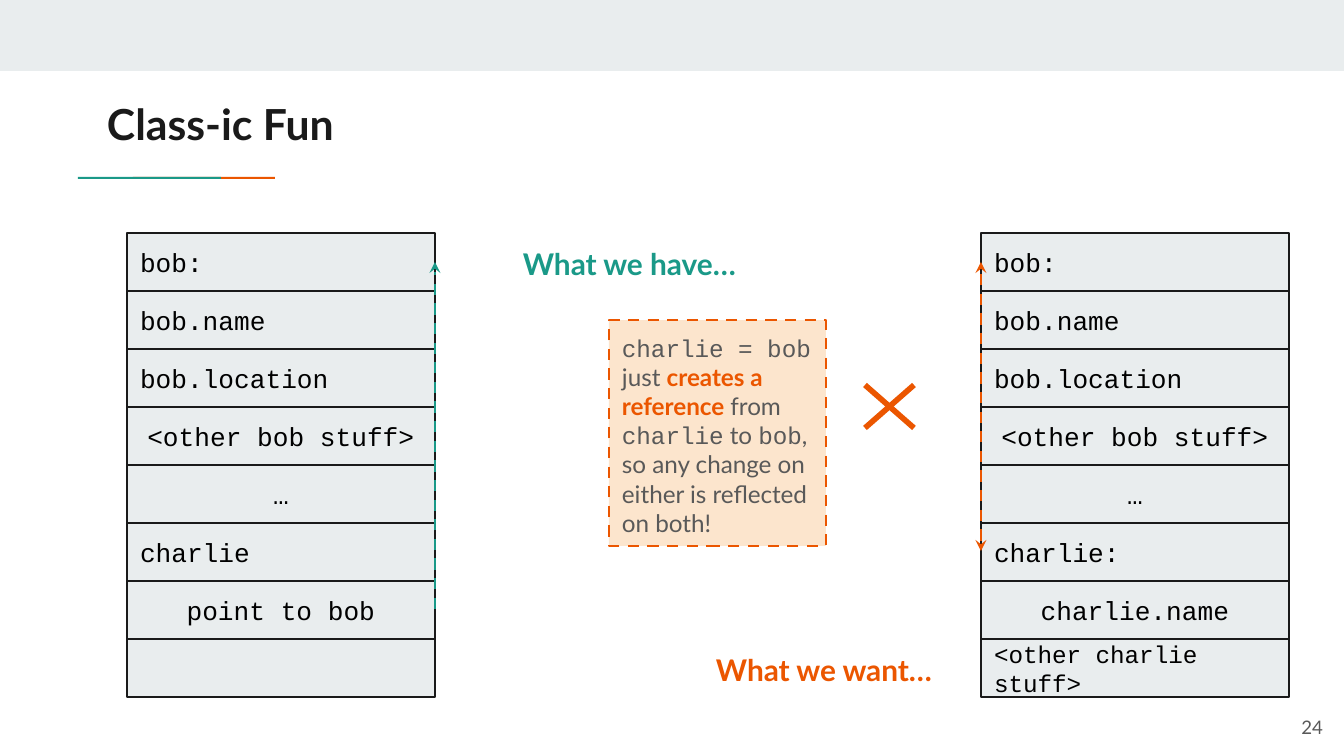
import pptx
import pptx.util
import pptx.dml.color
import pptx.enum.dml
import pptx.enum.shapes
import pptx.enum.text
import pptx.oxml.ns
from lxml import etree

RGB = pptx.dml.color.RGBColor
GREY = RGB(0xE9, 0xED, 0xEE)
DARK = RGB(0x1A, 0x1A, 0x1A)
TEXT = RGB(0x59, 0x59, 0x59)
BLACK = RGB(0, 0, 0)
TEAL = RGB(0x1A, 0x99, 0x88)
RUST = RGB(0xEB, 0x56, 0x00)
PEACH = RGB(0xFC, 0xE5, 0xCD)

PX = 914400 * 10 / 1344
Pt = pptx.util.Pt
ALIGN = pptx.enum.text.PP_ALIGN
ANCHOR = pptx.enum.text.MSO_ANCHOR
DASH = pptx.enum.dml.MSO_LINE.DASH
RECT = pptx.enum.shapes.MSO_SHAPE.RECTANGLE
STRAIGHT = pptx.enum.shapes.MSO_CONNECTOR.STRAIGHT
MONO, SANS = "Courier New", "Lato"
qn = pptx.oxml.ns.qn

deck = pptx.Presentation()
deck.slide_width = round(1344 * PX)
deck.slide_height = round(756 * PX)
slide = deck.slides.add_slide(deck.slide_layouts[5])
shapes = slide.shapes


def box(x, y, w, h, fill=None, edge=None, width=0.75):
    """Add a rectangle, or a text box when it has no fill."""
    area = [round(n * PX) for n in (x, y, w, h)]
    if fill is None:
        item = shapes.add_textbox(*area)
    else:
        item = shapes.add_shape(RECT, *area)
        item.shadow.inherit = False
        item.fill.solid()
        item.fill.fore_color.rgb = fill
        if edge is None:
            item.line.fill.background()
        else:
            item.line.color.rgb = edge
            item.line.width = Pt(width)
    frame = item.text_frame
    frame.word_wrap = True
    frame.margin_left = frame.margin_right = round(13 * PX)
    frame.margin_top = frame.margin_bottom = round(13 * PX)
    return item


def write(frame, parts, size, align=ALIGN.LEFT, anchor=ANCHOR.TOP):
    """Fill a frame with (text, font, colour, bold) runs."""
    frame.vertical_anchor = anchor
    para = frame.paragraphs[0]
    para.alignment = align
    for text, name, tint, bold in parts:
        run = para.add_run()
        run.text = text
        run.font.name = name
        run.font.size = Pt(size)
        run.font.color.rgb = tint
        run.font.bold = bold


# Top band and two-colour rule
box(0, 0, 1344, 71, GREY)
box(133, 177, 142, 2, RUST)
box(78, 177, 143, 2, TEAL)

# Title
title = shapes.title
title.left, title.top = round(107 * PX), round(85 * PX)
title.width, title.height = round(1130 * PX), round(79 * PX)
frame = title.text_frame
frame.auto_size = pptx.enum.text.MSO_AUTO_SIZE.NONE
frame.margin_left = frame.margin_right = 0
frame.margin_top = frame.margin_bottom = round(13 * PX)
write(frame, [("Class-ic Fun", SANS, DARK, True)], 22.9)

# Slide number
write(box(1255, 698, 81, 58).text_frame, [("24", SANS, TEXT, False)], 10,
      ALIGN.RIGHT, ANCHOR.MIDDLE)

# Memory stacks
TOP, ROW, WIDE = 233, 58, 308
shared = ["bob:", "bob.name", "bob.location", "<other bob stuff>", "…"]
stacks = [
    (127, shared + ["charlie", "point to bob", ""]),
    (981, shared + ["charlie:", "charlie.name", "<other charlie stuff>"]),
]
for left, rows in stacks:
    for i, text in enumerate(rows):
        cell = box(left, TOP + i * ROW, WIDE, ROW, GREY, DARK)
        if text:
            align = ALIGN.CENTER if i in (3, 4, 6) else ALIGN.LEFT
            size = 13 if i == 7 else 14
            write(cell.text_frame, [(text, MONO, BLACK, False)], size,
                  align, ANCHOR.MIDDLE)

# Captions
for x, y, text, tint in [(510, TOP, "What we have…", TEAL),
                         (703, TOP + 7 * ROW, "What we want…", RUST)]:
    write(box(x, y, 249, ROW).text_frame, [(text, SANS, tint, True)], 16)

# Reference arrows and the cross
lines = [
    (435, 609, 435, 262, TEAL, 1.5, ["tailEnd"]),
    (981, 551, 981, 262, RUST, 1.5, ["headEnd", "tailEnd"]),
    (865, 385, 914, 428, RUST, 3, []),
    (914, 385, 865, 428, RUST, 3, []),
]
for x1, y1, x2, y2, tint, width, ends in lines:
    ends_at = [round(n * PX) for n in (x1, y1, x2, y2)]
    link = shapes.add_connector(STRAIGHT, *ends_at)
    link.line.color.rgb = tint
    link.line.width = Pt(width)
    if ends:
        link.line.dash_style = DASH
    stroke = link.line._get_or_add_ln()
    for end in ends:
        etree.SubElement(stroke, qn("a:" + end), type="stealth")
    etree.SubElement(link._element.spPr, qn("a:effectLst"))

# Note on references
note = box(609, 320, 217, 226, PEACH, RUST, 1.5)
note.line.dash_style = DASH
write(note.text_frame, [
    ("charlie = bob", MONO, TEXT, False),
    (" just ", SANS, TEXT, False),
    ("creates a reference", SANS, RUST, True),
    (" from ", SANS, TEXT, False),
    ("charlie", MONO, TEXT, False),
    (" to ", SANS, TEXT, False),
    ("bob", MONO, TEXT, False),
    (", so any change on either is reflected on both!", SANS, TEXT, False),
], 13)

deck.save("out.pptx")
